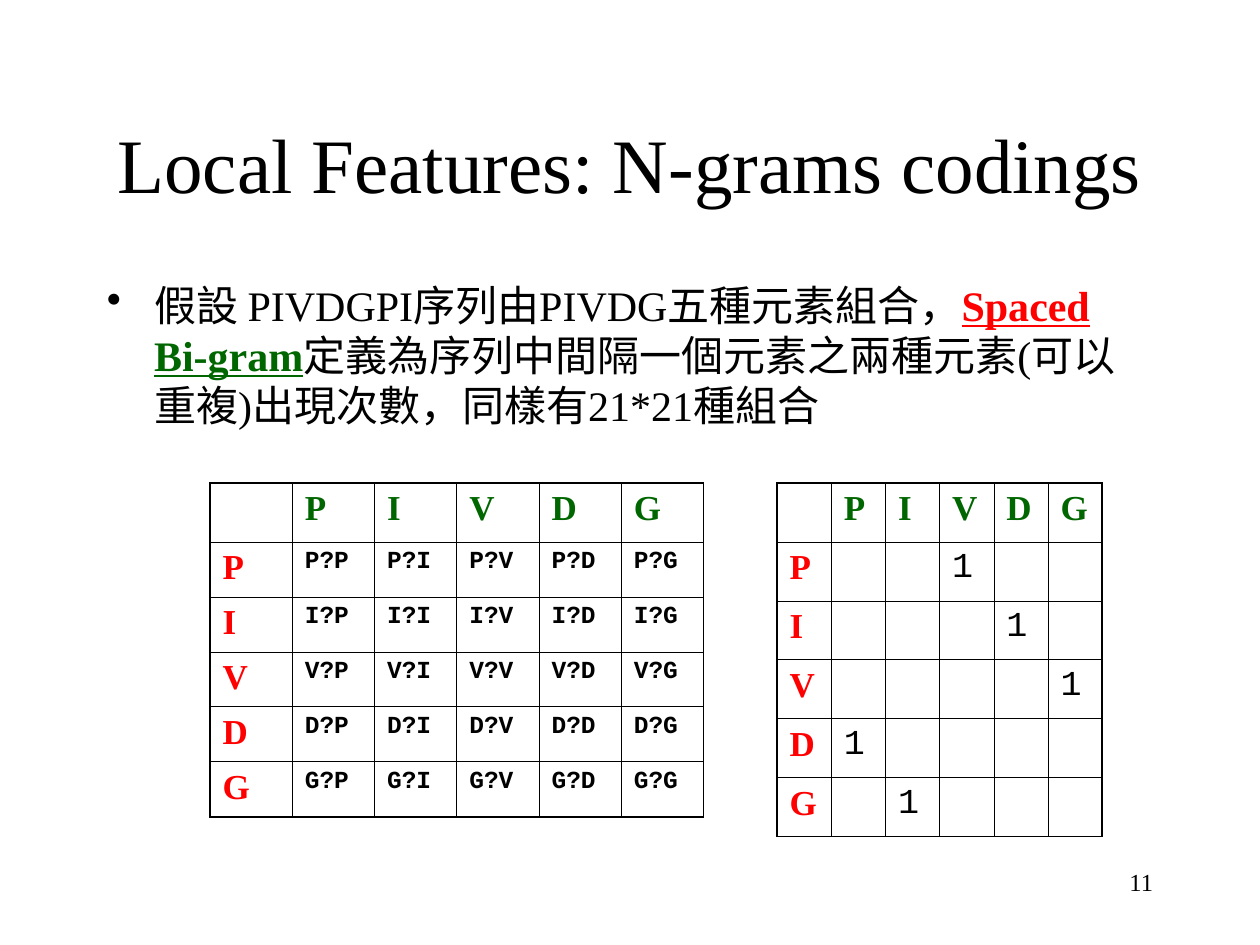
import pptx
import pptx.util
import pptx.dml.color
import pptx.enum.text
import pptx.oxml
import pptx.oxml.ns

Pt = pptx.util.Pt
ALIGN = pptx.enum.text.PP_ALIGN
BLACK, RED, GREEN = "000000", "FF0000", "006600"
SERIF, MONO = "Times New Roman", "Courier New"
NS = pptx.oxml.ns.nsdecls("a")


def add_text(p, text, size=20, color=BLACK, font=SERIF, bold=False, underline=False):
    r = p.add_run()
    r.text = text
    r.font.size = Pt(size)
    r.font.name = font
    r.font.bold = bold
    r.font.underline = underline
    r.font.color.rgb = pptx.dml.color.RGBColor.from_string(color)


def add_border(cell, side, width):
    cell._tc.get_or_add_tcPr().append(pptx.oxml.parse_xml(
        f'<a:ln{side} {NS} w="{Pt(width)}"><a:solidFill><a:srgbClr val="{BLACK}"/>'
        f'</a:solidFill></a:ln{side}>'))


prs = pptx.Presentation()
prs.slide_width, prs.slide_height = Pt(720), Pt(540)
s = prs.slides.add_slide(prs.slide_layouts[5])

title = s.shapes.title
title.left, title.top, title.width, title.height = Pt(54), Pt(48), Pt(612), Pt(90)
tf = title.text_frame
tf.auto_size = pptx.enum.text.MSO_AUTO_SIZE.NONE
tf.vertical_anchor = pptx.enum.text.MSO_ANCHOR.MIDDLE
p = tf.paragraphs[0]
p.alignment = ALIGN.CENTER
add_text(p, "Local Features: N-grams codings", size=44)

body = s.shapes.add_textbox(Pt(54), Pt(156), Pt(612), Pt(324))
tf = body.text_frame
tf.word_wrap = True
p = tf.paragraphs[0]
pPr = p._p.get_or_add_pPr()
pPr.set("marL", str(Pt(27)))
pPr.set("indent", str(Pt(-27)))
pPr.append(pptx.oxml.parse_xml(f'<a:buClr {NS}><a:srgbClr val="{BLACK}"/></a:buClr>'))
pPr.append(pptx.oxml.parse_xml(f'<a:buChar {NS} char="•"/>'))
add_text(p, "假設 PIVDGPI序列由PIVDG五種元素組合，", size=24)
add_text(p, "Spaced", size=24, color=RED, bold=True, underline=True)
add_text(p, " ", size=24, underline=True)
add_text(p, "Bi-gram", size=24, color=GREEN, bold=True, underline=True)
add_text(p, "定義為序列中間隔一個元素之兩種元素(可以重複)出現次數，同樣有21*21種組合", size=24)

letters = "PIVDG"
sequence = "PIVDGPI"
pairs = {(a, b): f"{a}?{b}" for a in letters for b in letters}
counts = {}
for pair in zip(sequence, sequence[2:]):
    counts[pair] = counts.get(pair, 0) + 1

tables = [
    (120, 282, 31.43, pairs, dict(size=14, font=MONO, bold=True)),
    (444, 186, 33.7, counts, dict(size=20, font=MONO)),
]
n = len(letters) + 1
for left, width, row_height, values, style in tables:
    frame = s.shapes.add_table(n, n, Pt(left), Pt(276), Pt(width), Pt(row_height * n))
    table = frame.table
    table.first_row = table.horz_banding = False
    for i in range(n):
        table.columns[i].width = Pt(width / n)
        table.rows[i].height = Pt(row_height if i else 33.7)
        for j in range(n):
            cell = table.cell(i, j)
            edges = {"L": j == 0, "R": j == n - 1, "T": i == 0, "B": i == n - 1}
            for side, outer in edges.items():
                add_border(cell, side, 1.08 if outer else 0.45)
            cell.fill.background()
            p = cell.text_frame.paragraphs[0]
            if i and j:
                pair = letters[i - 1], letters[j - 1]
                if pair in values:
                    add_text(p, str(values[pair]), **style)
            elif j:
                add_text(p, letters[j - 1], color=GREEN, bold=True)
            elif i:
                add_text(p, letters[i - 1], color=RED, bold=True)

number = s.shapes.add_textbox(Pt(516), Pt(492), Pt(150), Pt(36))
number.text_frame.word_wrap = True
p = number.text_frame.paragraphs[0]
p.alignment = ALIGN.RIGHT
add_text(p, "11", size=14)

prs.save("out.pptx")
